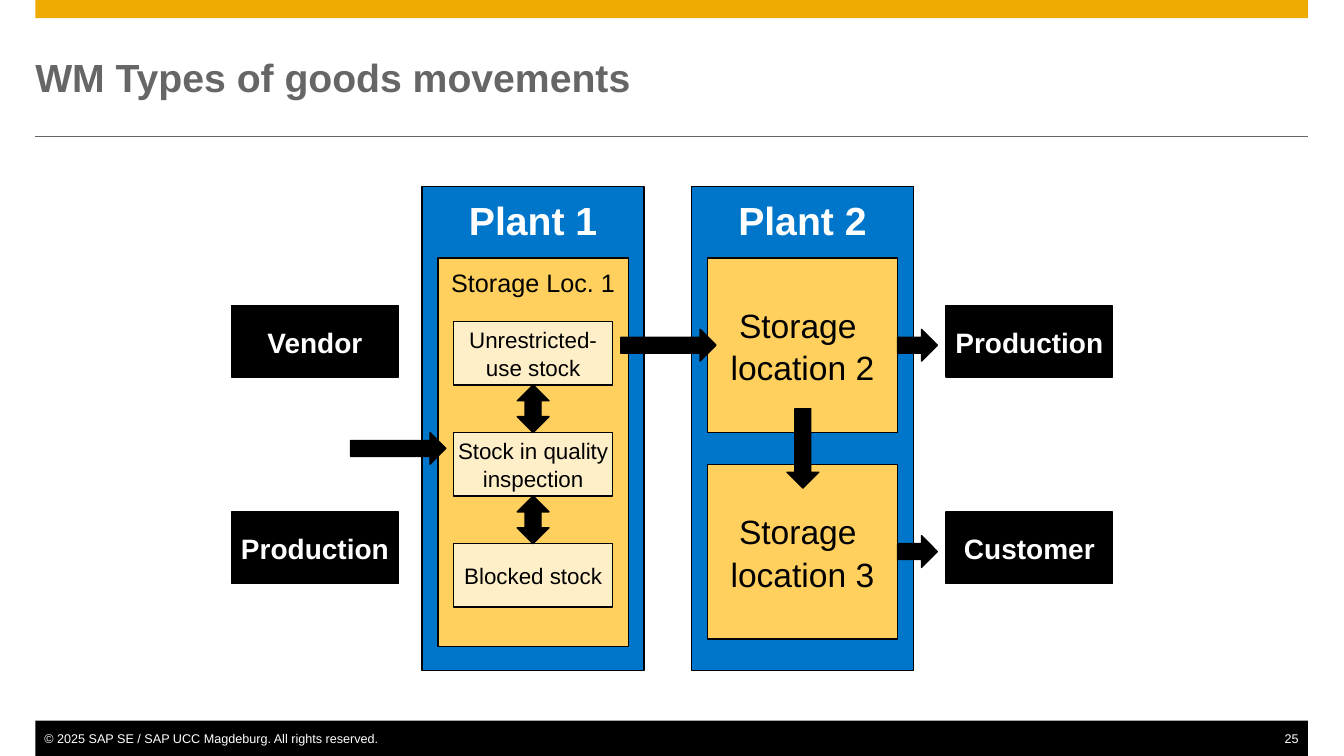
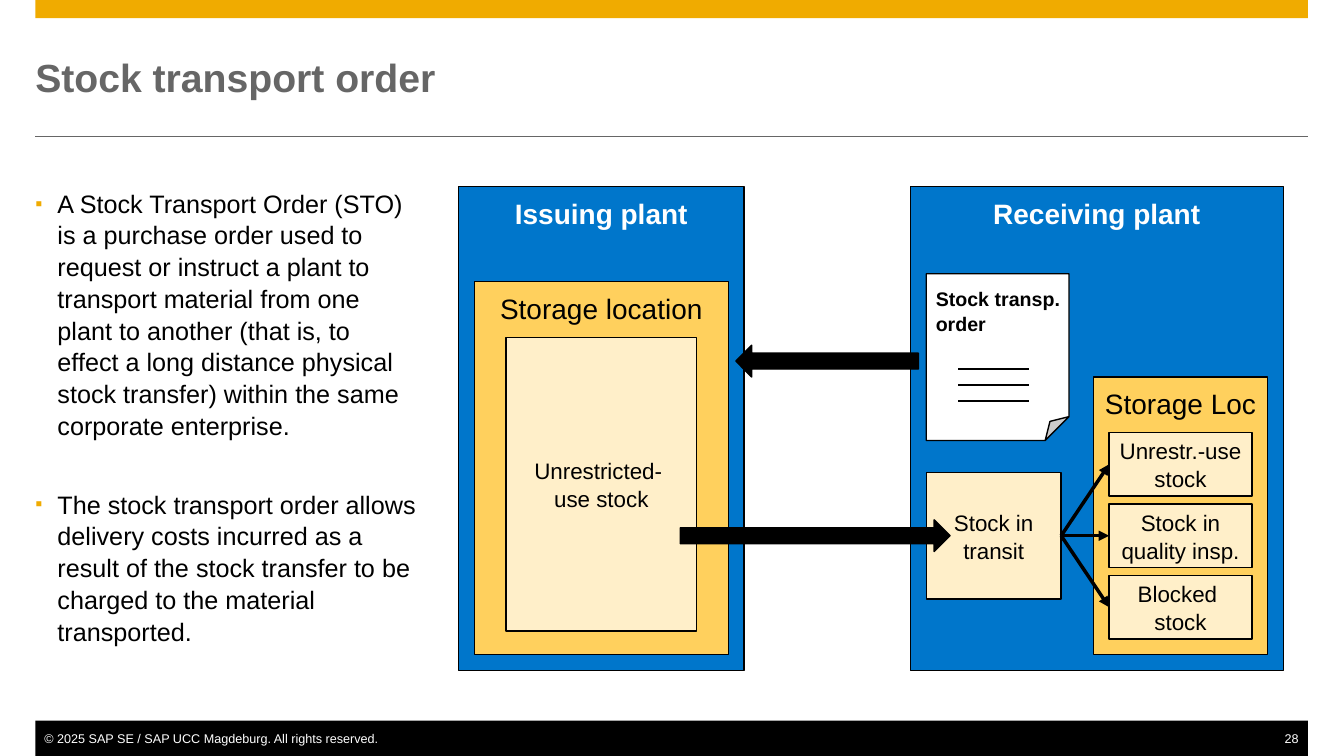
from pptx import Presentation
from pptx.dml.color import RGBColor
from pptx.enum.shapes import MSO_CONNECTOR, MSO_SHAPE
from pptx.enum.text import MSO_ANCHOR, MSO_AUTO_SIZE, PP_ALIGN
from pptx.oxml.ns import qn
from pptx.util import Cm, Pt
from lxml.etree import SubElement

COLORS = {
    "gold": "F0AB00",
    "gray": "666666",
    "black": "000000",
    "white": "FFFFFF",
    "plant": "0076CB",
    "storage": "FFD05D",
    "stock": "FFEFC9",
}
FONT = "Arial"
LINE_SPACING = 1.05
MARGIN, CONTENT_WIDTH = 0.89, 32.08
COPYRIGHT = "© 2025 SAP SE / SAP UCC Magdeburg. All rights reserved."

PLANT_TOP, PLANT_HEIGHT = 4.7, 12.2
INSET = 0.4
ARROW_WIDTH = 0.8
STOCK_HEIGHT = 1.6


def color(name):
    return RGBColor.from_string(COLORS[name])


def add_span(para, text, size, color_name, bold=False):
    span = para.add_run()
    span.text = text
    span.font.name = FONT
    span.font.size = Pt(size)
    span.font.bold = bold
    span.font.color.rgb = color(color_name)


def set_frame(frame, anchor=MSO_ANCHOR.TOP, left=0, top=0, right=0):
    frame.word_wrap = True
    frame.auto_size = MSO_AUTO_SIZE.NONE
    frame.vertical_anchor = anchor
    frame.margin_left, frame.margin_top = Cm(left), Cm(top)
    frame.margin_right, frame.margin_bottom = Cm(right), 0


def write_lines(frame, lines, size, color_name, bold=False, align=PP_ALIGN.CENTER):
    """Write one paragraph per line; a vertical tab inside a line breaks it."""
    for index, line in enumerate(lines):
        para = frame.add_paragraph() if index else frame.paragraphs[0]
        para.alignment = align
        para.line_spacing = LINE_SPACING
        for part_index, part in enumerate(line.split("\v")):
            if part_index:
                para.add_line_break()
            add_span(para, part, size, color_name, bold)


def add_box(page, at, fill, kind=MSO_SHAPE.RECTANGLE, outlined=True):
    box = page.shapes.add_shape(kind, *map(Cm, at))
    box.shadow.inherit = False
    box.fill.solid()
    box.fill.fore_color.rgb = color(fill)
    if outlined:
        box.line.color.rgb = color("black")
        box.line.width = Pt(1)
    else:
        box.line.fill.background()
    return box


def add_container(page, at, fill, heading, size):
    """Add a plant or storage box with its heading at the top."""
    box = add_box(page, at, fill)
    set_frame(box.text_frame, top=0.2)
    is_plant = fill == "plant"
    write_lines(box.text_frame, [heading], size,
                "white" if is_plant else "black", is_plant)


def add_label(page, at, fill, lines, size):
    """Add a box with its text in the middle."""
    box = add_box(page, at, fill)
    set_frame(box.text_frame, MSO_ANCHOR.MIDDLE)
    is_partner = fill == "black"
    write_lines(box.text_frame, lines, size,
                "white" if is_partner else "black", is_partner)
    return box


def add_arrow(page, kind, left, top, width, height=ARROW_WIDTH):
    add_box(page, (left, top, width, height), "black", kind)


def add_line(page, start, end, width=1, color_name="black", arrowhead=False):
    line = page.shapes.add_connector(MSO_CONNECTOR.STRAIGHT, *map(Cm, start + end))
    line.line.color.rgb = color(color_name)
    line.line.width = Pt(width)
    properties = line._element.spPr
    if arrowhead:
        SubElement(properties.find(qn("a:ln")), qn("a:tailEnd"), type="triangle")
    SubElement(properties, qn("a:effectLst"))
    return line


def add_footer_text(page, left, width, text, align):
    box = page.shapes.add_textbox(Cm(left), Cm(18.42), Cm(width), Cm(0.38))
    set_frame(box.text_frame, left=0.23, right=0.23)
    para = box.text_frame.paragraphs[0]
    para.alignment = align
    add_span(para, text, 9, "white")


def add_page(deck, title, number):
    page = deck.slides.add_slide(deck.slide_layouts[5])
    add_box(page, (MARGIN, 0, CONTENT_WIDTH, 0.46), "gold", outlined=False)
    right = MARGIN + CONTENT_WIDTH
    add_line(page, (MARGIN, 3.43), (right, 3.43), 0.5, "gray")
    add_box(page, (MARGIN, 18.16, CONTENT_WIDTH, 0.89), "black", outlined=False)
    add_footer_text(page, MARGIN, 16, COPYRIGHT, PP_ALIGN.LEFT)
    add_footer_text(page, right - 2, 2, number, PP_ALIGN.RIGHT)

    heading = page.shapes.title
    heading.left, heading.top = Cm(MARGIN), Cm(0.89)
    heading.width, heading.height = Cm(CONTENT_WIDTH), Cm(2.11)
    set_frame(heading.text_frame, MSO_ANCHOR.MIDDLE)
    para = heading.text_frame.paragraphs[0]
    para.alignment = PP_ALIGN.LEFT
    add_span(para, title, 28, "gray", True)
    return page


def add_bullets(page, at, items):
    box = page.shapes.add_textbox(*map(Cm, at))
    frame = box.text_frame
    set_frame(frame)
    for index, item in enumerate(items):
        para = frame.add_paragraph() if index else frame.paragraphs[0]
        properties = para._p.get_or_add_pPr()
        properties.set("marL", str(Cm(0.56)))
        properties.set("indent", str(-Cm(0.56)))
        bullet_color = SubElement(properties, qn("a:buClr"))
        SubElement(bullet_color, qn("a:srgbClr"), val=COLORS["gold"])
        SubElement(properties, qn("a:buSzPct"), val="80000")
        SubElement(properties, qn("a:buFont"), typeface=FONT)
        SubElement(properties, qn("a:buChar"), char="▪")
        para.line_spacing = LINE_SPACING
        if index:
            para.space_before = Pt(33.5)
        add_span(para, item, 18, "black")


def build_goods_movements(deck):
    page = add_page(deck, "WM Types of goods movements", "25")
    plant_width, storage_width, storage_top = 5.6, 4.8, 6.5
    first_plant, second_plant = 10.64, 17.43
    row_pitch = 5.2

    for left, name in ((first_plant, "Plant 1"), (second_plant, "Plant 2")):
        add_container(page, (left, PLANT_TOP, plant_width, PLANT_HEIGHT),
                      "plant", name, 28)
    add_container(page, (first_plant + INSET, storage_top, storage_width, 9.8),
                  "storage", "Storage Loc. 1", 18)

    stock_left, stock_width, stock_pitch = first_plant + 2 * INSET, 4, 2.8
    stocks = (["Unrestricted-", "use stock"], ["Stock in quality inspection"],
              ["Blocked stock"])
    for index, lines in enumerate(stocks):
        top = 8.1 + index * stock_pitch
        add_label(page, (stock_left, top, stock_width, STOCK_HEIGHT),
                  "stock", lines, 16)
        if index:
            gap = stock_pitch - STOCK_HEIGHT
            add_arrow(page, MSO_SHAPE.UP_DOWN_ARROW,
                      stock_left + (stock_width - ARROW_WIDTH) / 2,
                      top - gap, ARROW_WIDTH, gap)

    rows = (("Vendor", "Storage \vlocation 2", "Production"),
            ("Production", "Storage \vlocation 3", "Customer"))
    for index, (source, storage, target) in enumerate(rows):
        offset = index * row_pitch
        add_label(page, (second_plant + INSET, storage_top + offset,
                         storage_width, 4.4), "storage", [storage], 24)
        for left, partner in ((5.84, source), (23.85, target)):
            add_label(page, (left, 7.7 + offset, 4.2, 1.8), "black", [partner], 20)
        add_arrow(page, MSO_SHAPE.RIGHT_ARROW,
                  second_plant + INSET + storage_width, 8.3 + offset, 1)

    add_arrow(page, MSO_SHAPE.RIGHT_ARROW, 8.84, 10.9, 2.4)
    add_arrow(page, MSO_SHAPE.RIGHT_ARROW, 15.65, 8.3, 2.4)
    add_arrow(page, MSO_SHAPE.DOWN_ARROW, 19.84, 10.3, ARROW_WIDTH, 2)


def add_order_note(page, left, top):
    note = add_box(page, (left, top, 3.6, 4.2), "white", MSO_SHAPE.FOLDED_CORNER)
    set_frame(note.text_frame, left=0.24, top=0.3)
    write_lines(note.text_frame, ["Stock transp.", "order"], 14, "black", True,
                PP_ALIGN.LEFT)
    for index in range(3):
        line_top = top + 2.4 + index * 0.4
        add_line(page, (left + 0.8, line_top), (left + 2.6, line_top))


def build_transport_order(deck):
    page = add_page(deck, "Stock transport order", "28")
    add_bullets(page, (MARGIN, PLANT_TOP, 9.65, PLANT_HEIGHT), (
        "A Stock Transport Order (STO) is a purchase order used to request or "
        "instruct a plant to transport material from one plant to another (that "
        "is, to effect a long distance physical stock transfer) within the same "
        "corporate enterprise.",
        "The stock transport order allows delivery costs incurred as a result of "
        "the stock transfer to be charged to the material transported.",
    ))
    issuing, receiving = 11.56, 22.95
    for left, width, name in ((issuing, 7.2, "Issuing plant"),
                              (receiving, 9.4, "Receiving plant")):
        add_container(page, (left, PLANT_TOP, width, PLANT_HEIGHT),
                      "plant", name, 20)

    add_container(page, (issuing + INSET, 7.1, 6.4, 9.4),
                  "storage", "Storage location", 20)
    add_label(page, (issuing + 3 * INSET, 8.5, 4.8, 7.4), "stock",
              ["Unrestricted- ", "use stock"], 16)

    add_order_note(page, receiving + INSET, 6.9)
    transit = add_label(page, (receiving + INSET, 11.9, 3.4, 3.2), "stock",
                        ["Stock in", "transit"], 16)
    storage_left = 27.56
    add_container(page, (storage_left, 9.5, 4.4, 7), "storage", "Storage Loc", 20)
    stocks = (["Unrestr.-use", "stock"], ["Stock in", "quality insp."],
              ["Blocked ", "stock"])
    for index, lines in enumerate(stocks):
        stock = add_label(page, (storage_left + INSET, 10.9 + index * 1.8, 3.6,
                                 STOCK_HEIGHT), "stock", lines, 16)
        link = add_line(page, (0, 0), (1, 1), 2.5, arrowhead=True)
        link.begin_connect(transit, 3)
        link.end_connect(stock, 1)

    add_arrow(page, MSO_SHAPE.LEFT_ARROW, 18.55, 8.7, 4.6)
    add_arrow(page, MSO_SHAPE.RIGHT_ARROW, 17.15, 13.1, 6.8)


def main():
    deck = Presentation()
    deck.slide_width, deck.slide_height = Cm(33.88), Cm(19.05)
    build_goods_movements(deck)
    build_transport_order(deck)
    deck.save("out.pptx")


if __name__ == "__main__":
    main()
